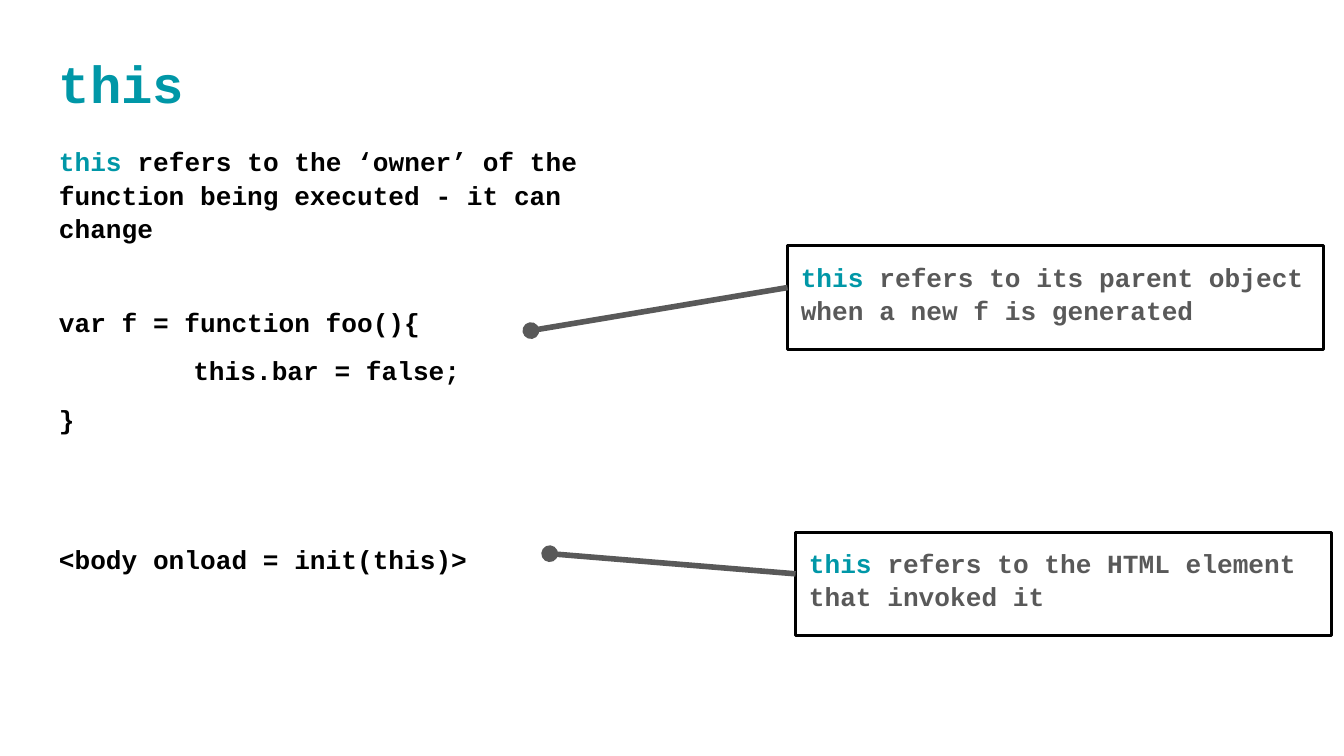
from dataclasses import dataclass

from lxml.etree import SubElement
from pptx import Presentation
from pptx.dml.color import RGBColor
from pptx.enum.shapes import MSO_CONNECTOR, MSO_SHAPE
from pptx.enum.text import MSO_ANCHOR, PP_ALIGN
from pptx.oxml.ns import qn
from pptx.util import Inches, Length, Pt

TEAL = RGBColor(0x00, 0x97, 0xA7)
BLACK = RGBColor(0x00, 0x00, 0x00)
GREY = RGBColor(0x59, 0x59, 0x59)

COLS, ROWS = 100, 56.25
CELL = Inches(0.1)
FONT = {"name": "Courier New", "bold": True}
FRAME = {
    "word_wrap": True,
    "vertical_anchor": MSO_ANCHOR.TOP,
    "margin_left": CELL,
    "margin_top": CELL,
    "margin_right": CELL,
    "margin_bottom": CELL,
}
LINE_SPACING = 1.06
LINE_STEP = 24.8  # points taken by one empty code line with its gap
CODE_GAP = 8
CALLOUT_W, CALLOUT_H = 39.9, 7.7
POINTER_DROP = 3.1


@dataclass(frozen=True)
class Span:
    text: str
    color: RGBColor = BLACK


@dataclass(frozen=True)
class Line:
    spans: tuple[Span, ...]
    blank_lines: int = 0
    gap: float = CODE_GAP
    indent: float = 0


@dataclass(frozen=True)
class Callout:
    col: float
    row: float
    text: str
    dot: tuple[float, float]


def grid(cells: float) -> Length:
    return Length(round(cells * CELL))


def set_all(target, values: dict) -> None:
    for name, value in values.items():
        setattr(target, name, value)


def write(tf, lines: list[Line], size: float) -> None:
    set_all(tf, FRAME)
    for i, line in enumerate(lines):
        p = tf.paragraphs[0] if i == 0 else tf.add_paragraph()
        set_all(p, {
            "alignment": PP_ALIGN.LEFT,
            "line_spacing": LINE_SPACING,
            "space_before": Pt(line.gap + line.blank_lines * LINE_STEP),
        })
        if line.indent:
            p._p.get_or_add_pPr().set("marL", str(grid(line.indent)))
        for span in line.spans:
            r = p.add_run()
            r.text = span.text
            set_all(r.font, {**FONT, "size": Pt(size)})
            r.font.color.rgb = span.color


def add_text(s, box: tuple[float, ...], lines: list[Line], size: float) -> None:
    sp = s.shapes.add_textbox(*map(grid, box))
    write(sp.text_frame, lines, size)


def add_callout(s, c: Callout) -> None:
    """Draw a framed note and the dotted pointer that leads to its left side."""
    sp = s.shapes.add_shape(
        MSO_SHAPE.RECTANGLE, *map(grid, (c.col, c.row, CALLOUT_W, CALLOUT_H)))
    sp.shadow.inherit = False
    sp.fill.background()
    sp.line.color.rgb = BLACK
    sp.line.width = Pt(1.5)
    spans = (Span("this ", TEAL), Span(c.text, GREY))
    write(sp.text_frame, [Line(spans, gap=0)], 14)

    ends = (*c.dot, c.col, c.row + POINTER_DROP)
    pointer = s.shapes.add_connector(MSO_CONNECTOR.STRAIGHT, *map(grid, ends))
    pointer.line.color.rgb = GREY
    pointer.line.width = Pt(3)
    SubElement(pointer.line._get_or_add_ln(), qn("a:headEnd"), type="oval")
    SubElement(pointer._element.spPr, qn("a:effectLst"))


TITLE = [Line((Span("this", TEAL),), gap=0)]
BODY = [
    Line((Span("this ", TEAL),
          Span("refers to the ‘owner’ of the function being executed"
               " - it can change")), gap=0),
    Line((Span("var f = function foo(){"),), blank_lines=1),
    Line((Span("this.bar = false;"),), indent=10),
    Line((Span("}"),)),
    Line((Span("<body onload = init(this)>"),), blank_lines=2),
]
CALLOUTS = [
    Callout(58.6, 18.3, "refers to its parent object when a new f is generated",
            (39.5, 24.6)),
    Callout(59.2, 39.6, "refers to the HTML element that invoked it",
            (40.9, 41.2)),
]


def main() -> None:
    prs = Presentation()
    prs.slide_width, prs.slide_height = grid(COLS), grid(ROWS)
    s = prs.slides.add_slide(prs.slide_layouts[6])
    add_text(s, (3.4, 9.7, 43.7, 40.2), BODY, 14)
    add_text(s, (3.4, 2.5, 95.1, 6.3), TITLE, 28)
    for callout in CALLOUTS:
        add_callout(s, callout)
    prs.save("out.pptx")


if __name__ == "__main__":
    main()
